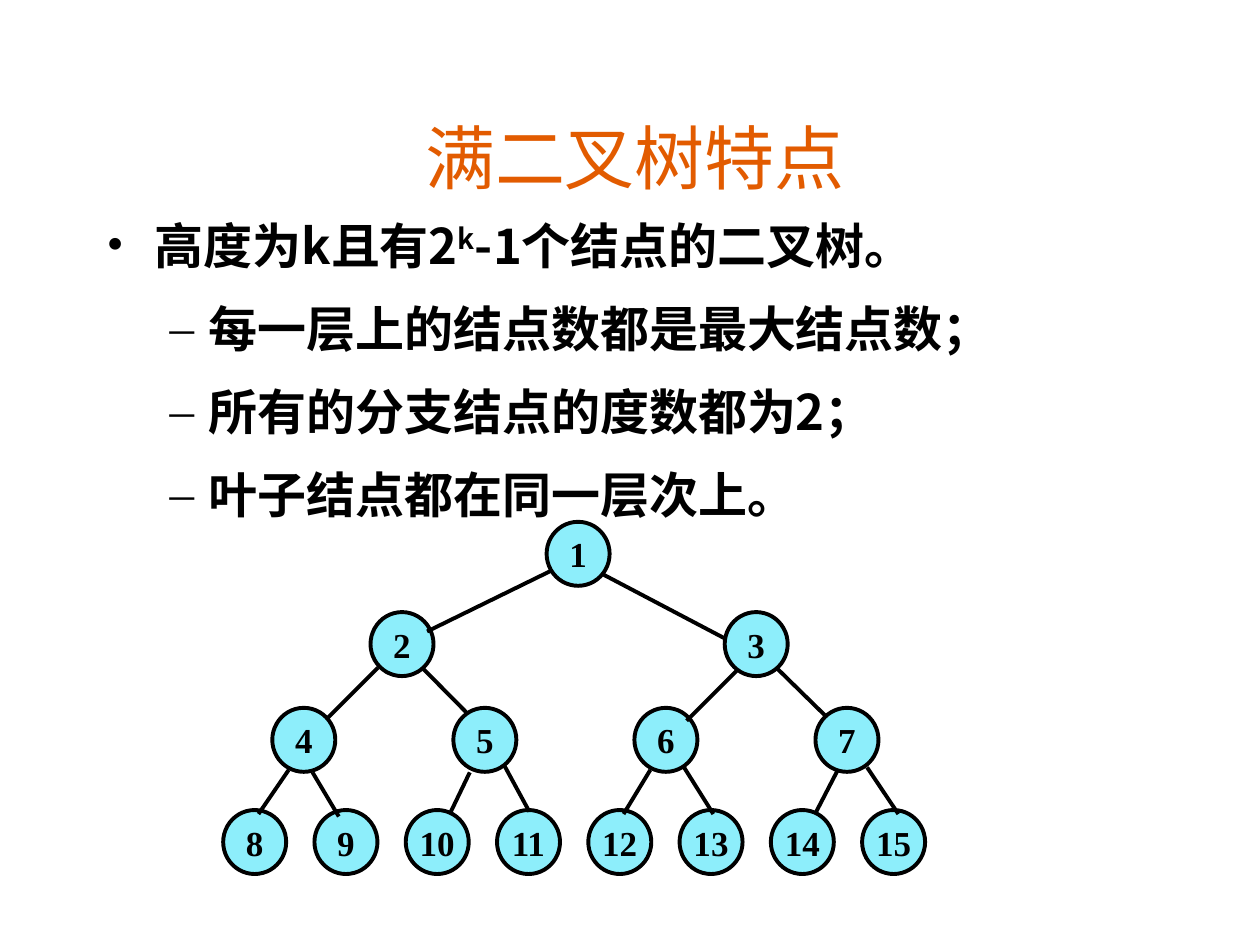
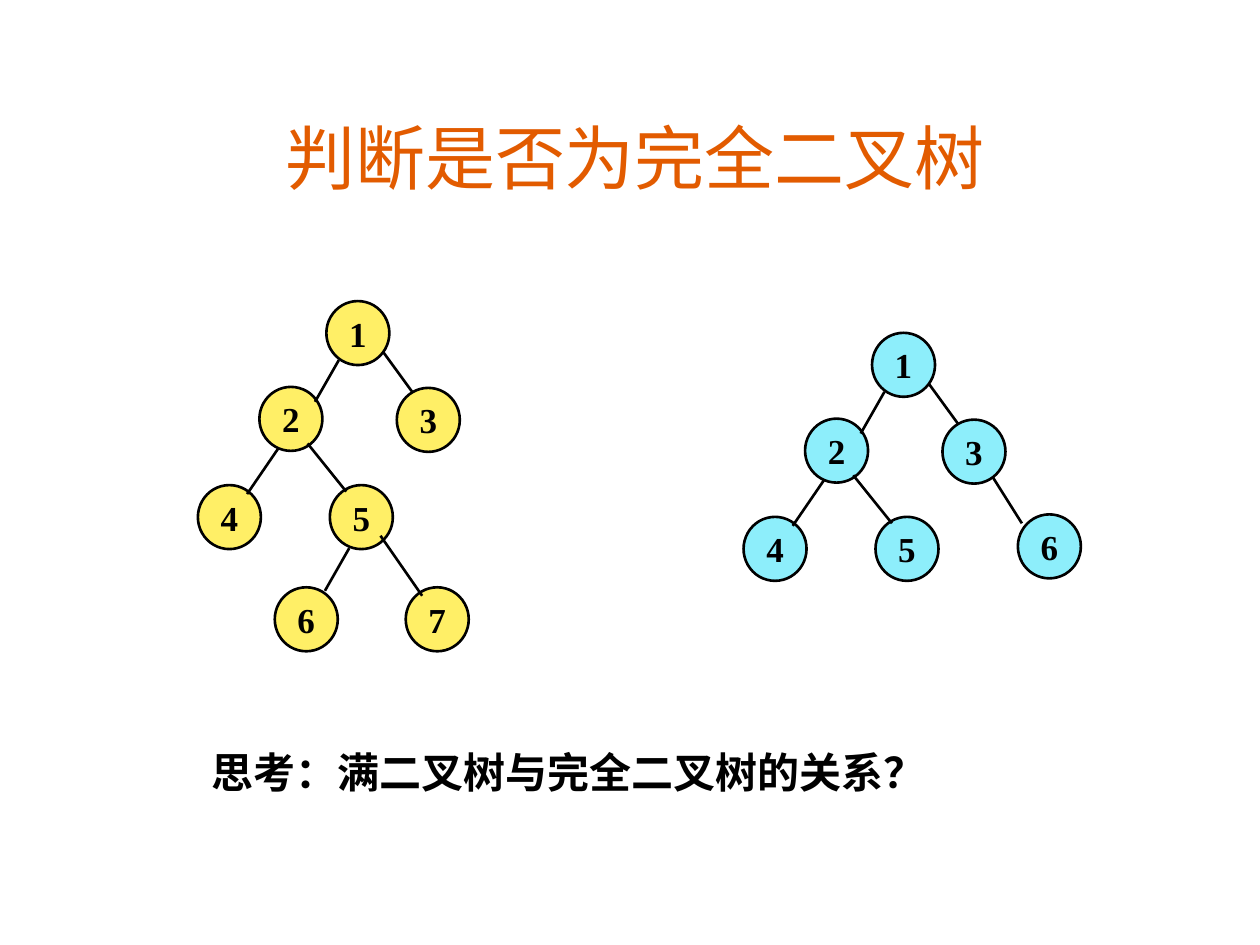
from lxml.etree import SubElement
from pptx import Presentation
from pptx.dml.color import RGBColor
from pptx.enum.shapes import MSO_CONNECTOR, MSO_SHAPE
from pptx.enum.text import MSO_ANCHOR, PP_ALIGN
from pptx.oxml.ns import qn
from pptx.util import Cm, Pt

COLORS = {"title": "E25B00", "ink": "000000", "blue": "8DEEFB", "yellow": "FFEF66"}
CHINESE_FONT = "Noto Sans CJK SC"
NODE_FONT = "Times New Roman"
NODE_WIDTH, NODE_HEIGHT = 1.27, 1.29

FULL_TITLE = "满二叉树特点"
FULL_POINTS = [
    (0, ["高度为k且有2", ("k",), "-1个结点的二叉树。"]),
    (1, ["每一层上的结点数都是最大结点数；"]),
    (1, ["所有的分支结点的度数都为2；"]),
    (1, ["叶子结点都在同一层次上。"]),
]
POINT_STYLES = [
    {"mark": "•", "margin": 0.97, "hanging": 0.97, "line": 36.5},
    {"mark": "–", "margin": 2.06, "hanging": 0.79, "line": 40.5},
]
FULL_LEVELS = [
    {"top": 10.52, "left": 11.02, "pitch": 0},
    {"top": 12.34, "left": 7.47, "pitch": 7.14},
    {"top": 14.27, "left": 5.49, "pitch": 3.65},
    {"top": 16.33, "left": 4.5, "pitch": 1.84},
]
FULL_EDGES = [
    (11.1, 11.51, 8.61, 12.73), (12.12, 11.56, 14.63, 12.88),
    (7.62, 13.46, 6.6, 14.48), (8.51, 13.46, 9.42, 14.38),
    (14.86, 13.51, 13.84, 14.53), (15.65, 13.46, 16.64, 14.43),
    (5.82, 15.52, 5.21, 16.41), (6.3, 15.57, 6.83, 16.46),
    (9.47, 15.57, 9.09, 16.36), (10.16, 15.42, 10.67, 16.36),
    (13.11, 15.52, 12.57, 16.41), (13.79, 15.47, 14.38, 16.41),
    (16.89, 15.52, 16.43, 16.41), (17.48, 15.47, 18.11, 16.41),
]

COMPLETE_TITLE = "判断是否为完全二叉树"
QUESTION = "思考：满二叉树与完全二叉树的关系？"
SHARED_NODES = [(6.58, 6.07), (5.23, 7.8), (8, 7.82), (3.99, 9.78), (6.65, 9.78)]
SHARED_EDGES = [
    (6.83, 7.26, 6.35, 8.1), (5.61, 9.04, 4.98, 9.96),
    (7.72, 7.09, 8.31, 7.9), (6.2, 8.94, 6.98, 9.91),
]
CANDIDATES = [
    {"color": "yellow", "shift": (0, 0),
     "nodes": [(5.54, 11.84), (8.18, 11.84)],
     "edges": [(7.67, 10.8, 8.51, 12.01), (7.04, 11.05, 6.55, 11.91)]},
    {"color": "blue", "shift": (11, 0.64),
     "nodes": [(9.52, 9.73)],
     "edges": [(9.02, 8.99, 9.6, 9.91)]},
]


def rgb(name):
    return RGBColor.from_string(COLORS[name])


def style(para, size, name, color="ink", bold=True):
    font = para.font
    font.size, font.bold = Pt(size), bold
    font.color.rgb = rgb(color)
    font.name = name
    defaults = para._p.pPr.find(qn("a:defRPr"))
    SubElement(defaults, qn("a:ea")).set("typeface", CHINESE_FONT)


def add_box(page, left, top, width, height):
    frame = page.shapes.add_textbox(Cm(left), Cm(top), Cm(width), Cm(height)).text_frame
    frame.word_wrap = True
    return frame


def add_title(page, text):
    frame = add_box(page, 1.9, 1.9, 21.8, 2.11)
    frame.vertical_anchor = MSO_ANCHOR.BOTTOM
    frame.margin_bottom = 0
    para = frame.paragraphs[0]
    para.text = text
    para.alignment = PP_ALIGN.CENTER
    style(para, 40, "Comic Neue", "title", False)


def add_bullet(para, look):
    properties = para._p.get_or_add_pPr()
    properties.set("marL", str(Cm(look["margin"])))
    properties.set("indent", str(-Cm(look["hanging"])))
    SubElement(properties, qn("a:buFont")).set("typeface", NODE_FONT)
    SubElement(properties, qn("a:buChar")).set("char", look["mark"])


def add_points(page, points):
    frame = add_box(page, 1.9, 4.11, 21.8, 12.7)
    for index, (level, pieces) in enumerate(points):
        para = frame.add_paragraph() if index else frame.paragraphs[0]
        look = POINT_STYLES[level]
        para.level = level
        para.line_spacing = Pt(look["line"])
        if index:
            para.space_before = Pt(7)
        add_bullet(para, look)
        style(para, 28, CHINESE_FONT)
        for piece in pieces:
            span = para.add_run()
            span.text = piece if isinstance(piece, str) else piece[0]
            if isinstance(piece, tuple):
                span.font._element.set("baseline", "30000")


def add_node(group, number, left, top, color, weight):
    node = group.shapes.add_shape(
        MSO_SHAPE.OVAL, Cm(left), Cm(top), Cm(NODE_WIDTH), Cm(NODE_HEIGHT))
    node.shadow.inherit = False
    node.fill.solid()
    node.fill.fore_color.rgb = rgb(color)
    node.line.color.rgb = rgb("ink")
    node.line.width = Pt(weight)
    frame = node.text_frame
    frame.word_wrap = False
    frame.vertical_anchor = MSO_ANCHOR.MIDDLE
    para = frame.paragraphs[0]
    para.text = str(number)
    para.alignment = PP_ALIGN.CENTER
    style(para, 20, NODE_FONT)


def add_edge(group, ends, weight):
    edge = group.shapes.add_connector(MSO_CONNECTOR.STRAIGHT, *map(Cm, ends))
    edge.line.color.rgb = rgb("ink")
    edge.line.width = Pt(weight)
    SubElement(edge._element.spPr, qn("a:effectLst"))


def add_tree(page, nodes, edges, color, weight, shift=(0, 0)):
    group = page.shapes.add_group_shape()
    across, down = shift
    for number, (left, top) in enumerate(nodes, 1):
        add_node(group, number, left + across, top + down, color, weight)
    for x1, y1, x2, y2 in edges:
        add_edge(group, (x1 + across, y1 + down, x2 + across, y2 + down), weight)


def add_full_tree_page(deck):
    page = deck.slides.add_slide(deck.slide_layouts[6])
    add_title(page, FULL_TITLE)
    add_points(page, FULL_POINTS)
    nodes = [(row["left"] + row["pitch"] * column, row["top"])
             for depth, row in enumerate(FULL_LEVELS)
             for column in range(2 ** depth)]
    add_tree(page, nodes, FULL_EDGES, "blue", 2.25)


def add_complete_tree_page(deck):
    page = deck.slides.add_slide(deck.slide_layouts[6])
    add_title(page, COMPLETE_TITLE)
    for tree in CANDIDATES:
        add_tree(page, SHARED_NODES + tree["nodes"], SHARED_EDGES + tree["edges"],
                 tree["color"], 1.5, tree["shift"])
    frame = add_box(page, 4.01, 15.04, 19.05, 1.27)
    frame.margin_top = 0
    para = frame.paragraphs[0]
    para.text = QUESTION
    style(para, 24, "Karla")


def main():
    deck = Presentation()
    deck.slide_width, deck.slide_height = Cm(25.4), Cm(19.05)
    add_full_tree_page(deck)
    add_complete_tree_page(deck)
    deck.save("out.pptx")


if __name__ == "__main__":
    main()
